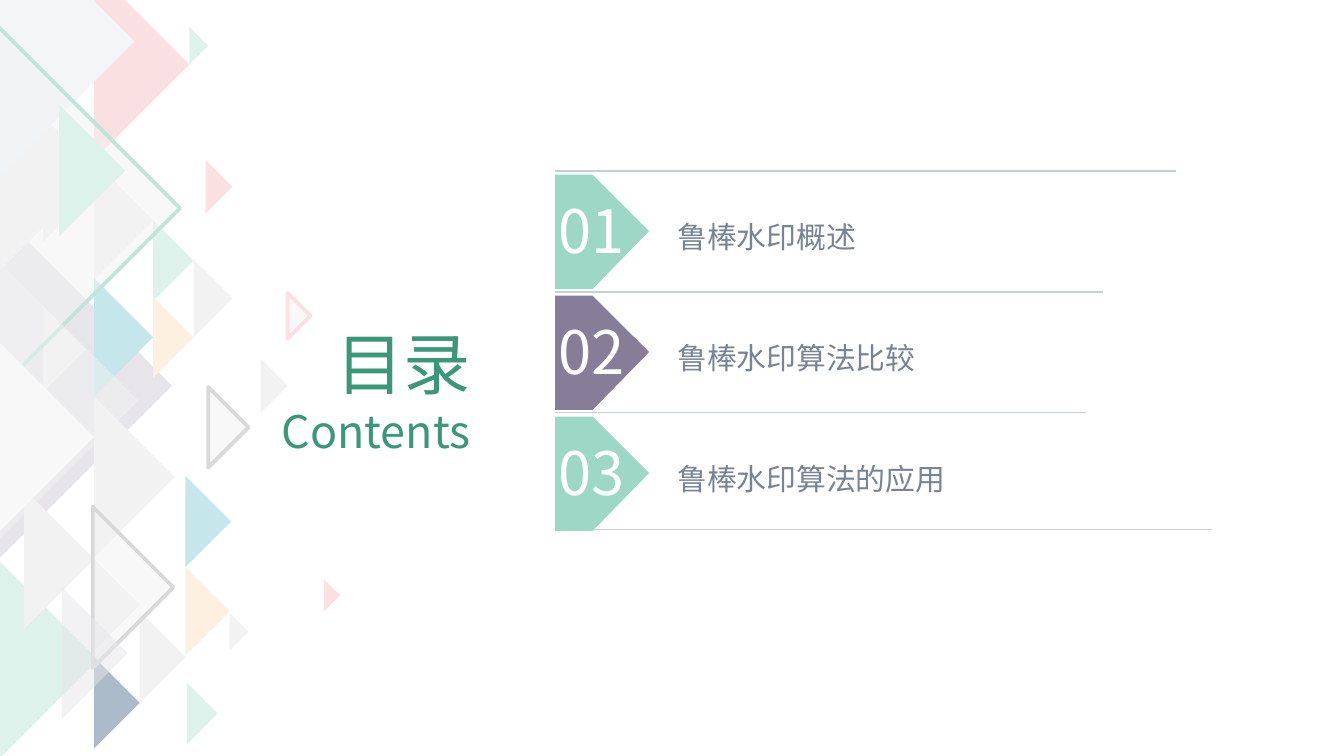
from lxml.etree import SubElement
from pptx import Presentation
from pptx.dml.color import RGBColor
from pptx.enum.shapes import MSO_CONNECTOR
from pptx.enum.text import MSO_ANCHOR, MSO_AUTO_SIZE, PP_ALIGN
from pptx.oxml.ns import qn
from pptx.util import Inches, Pt

FONT = "Noto Sans CJK SC"
WHITE = RGBColor(0xFF, 0xFF, 0xFF)
GREY = RGBColor(0xF2, 0xF2, 0xF2)
SILVER = RGBColor(0xD9, 0xD9, 0xD9)
PALE = RGBColor(0xF3, 0xF5, 0xF7)
LILAC = RGBColor(0xE7, 0xE5, 0xEA)
PINK = RGBColor(0xFB, 0xE0, 0xE1)
MINT = RGBColor(0xDE, 0xF2, 0xEC)
AQUA = RGBColor(0xBD, 0xE5, 0xD8)
CREAM = RGBColor(0xFE, 0xF0, 0xE1)
SKY = RGBColor(0xC5, 0xE7, 0xEB)
STEEL = RGBColor(0xAB, 0xBB, 0xC9)
RULE = RGBColor(0xC4, 0xCF, 0xD9)
SLATE = RGBColor(0x77, 0x84, 0x95)
GREEN = RGBColor(0x3B, 0x97, 0x79)
JADE = RGBColor(0x9C, 0xD8, 0xC5)
PLUM = RGBColor(0x86, 0x7D, 0x98)

# left edge, middle height, half height, fill, then optional opacity and outline
TRIANGLES = [
    (0, 2.87, 1.28, LILAC), (0, 1.28, 0.73, GREY),
    (0.7, 1.64, 0.44, GREY), (0.7, 0.48, 0.71, PINK),
    (1.14, 1.94, 0.3, MINT), (1.14, 2.51, 0.3, CREAM),
    (0.7, 2.51, 0.44, SKY), (0.7, 3.55, 0.6, GREY),
    (0.7, 4.5, 0.34, GREY), (0, 4.91, 0.73, MINT),
    (0.7, 5.23, 0.34, STEEL), (1.04, 4.89, 0.34, GREY),
    (1.38, 4.55, 0.33, CREAM), (1.38, 3.88, 0.34, SKY),
    (0, 3.36, 0.51, GREY), (0, 0.31, 1, PALE),
    (0.32, 1.48, 0.32, GREY), (0.32, 2.6, 0.32, GREY),
    (0.18, 4.16, 0.52, GREY), (1.53, 1.39, 0.2, PINK),
    (-0.06, 1.55, 1.4, GREY, 50, AQUA), (-0.06, 3.25, 0.76, WHITE),
    (0.69, 4.37, 0.6, GREY, 50, SILVER), (1.55, 3.18, 0.3, GREY, 50, SILVER),
    (2.14, 2.35, 0.17, GREY, 50, PINK), (1.94, 2.87, 0.2, GREY),
    (1.71, 4.7, 0.14, GREY), (1.39, 5.31, 0.23, MINT),
    (0, 2.98, 1.03, GREY, 50), (0.46, 4.86, 0.49, LILAC, 50),
    (0.44, 1.27, 0.49, MINT), (1.44, 2.22, 0.29, GREY),
    (1.41, 0.34, 0.14, MINT), (2.41, 4.43, 0.12, PINK),
]
RULES = [(1.27, 8.75), (2.17, 8.21), (3.07, 8.08), (3.94, 9.02)]
ITEMS = ["鲁棒水印概述", "鲁棒水印算法比较", "鲁棒水印算法的应用"]
STEP = 0.9
LEFT = 4.13


def add_outline(slide, points, fill, alpha=100, line=None):
    dots = [(Inches(x), Inches(y)) for x, y in points]
    pen = slide.shapes.build_freeform(*dots[0])
    pen.add_line_segments(dots[1:], close=True)
    shape = pen.convert_to_shape()
    shape.shadow.inherit = False
    shape.fill.solid()
    shape.fill.fore_color.rgb = fill
    if alpha < 100:
        color = shape._element.spPr.find(qn("a:solidFill"))[0]
        SubElement(color, qn("a:alpha"), val=str(alpha * 1000))
    if line is None:
        shape.line.fill.background()
    else:
        shape.line.color.rgb = line
        shape.line.width = Pt(2)


def add_triangle(slide, x, mid, half, *style):
    points = [(x + half, mid), (x, mid + half), (x, mid - half)]
    add_outline(slide, points, *style)


def add_rule(slide, y, end):
    line = slide.shapes.add_connector(
        MSO_CONNECTOR.STRAIGHT, Inches(LEFT), Inches(y), Inches(end), Inches(y))
    line.line.color.rgb = RULE
    line.line.width = Pt(1)
    SubElement(line._element.spPr, qn("a:effectLst"))


def place(shape, x, y, width, height):
    shape.left, shape.top = Inches(x), Inches(y)
    shape.width, shape.height = Inches(width), Inches(height)
    frame = shape.text_frame
    frame.word_wrap = True
    frame.auto_size = MSO_AUTO_SIZE.NONE
    frame.vertical_anchor = MSO_ANCHOR.TOP


def style(para, size, color, align=PP_ALIGN.LEFT):
    """Format a paragraph, with a fixed line height of 1.2 times the size."""
    para.alignment = align
    para.line_spacing = Pt(size * 1.2)
    para.space_before = Pt(0)
    for run in para.runs:
        run.font.size = Pt(size)
        run.font.color.rgb = color
        run.font.name = FONT
        SubElement(run._r.get_or_add_rPr(), qn("a:ea"), typeface=FONT)


def add_title(slide):
    title = slide.shapes.title
    place(title, 1.74, 2.35, 1.86, 1.11)
    title.text_frame.text = "目录\nContents"
    for para, size in zip(title.text_frame.paragraphs, (36, 24)):
        style(para, size, GREEN, PP_ALIGN.RIGHT)


def add_list(slide):
    body = slide.placeholders[1]
    place(body, 4.94, 1.58, 2.65, 2.16)
    body.text_frame.text = "\n".join(ITEMS)
    for para in body.text_frame.paragraphs:
        style(para, 16, SLATE)
        para.space_after = Pt(STEP * 72 - 16 * 1.2)
        props = para._p.get_or_add_pPr()
        props.set("marL", "0")
        props.set("indent", "0")
        SubElement(props, qn("a:buNone"))


def add_badge(slide, index, fill):
    top = 1.3 + index * STEP
    low = top + 0.85
    points = [(LEFT, top), (4.41, top), (4.83, top + 0.42),
              (4.41, low), (LEFT, low)]
    add_outline(slide, points, fill)
    box = slide.shapes.add_textbox(0, 0, 0, 0)
    place(box, 4.06, top + 0.09, 0.73, 0.64)
    box.text_frame.text = f"{index + 1:02}"
    style(box.text_frame.paragraphs[0], 32, WHITE)


def main():
    deck = Presentation()
    deck.slide_width = Inches(10)
    deck.slide_height = deck.slide_width * 9 // 16
    slide = deck.slides.add_slide(deck.slide_layouts[1])
    for triangle in TRIANGLES:
        add_triangle(slide, *triangle)
    for y, end in RULES:
        add_rule(slide, y, end)
    for index, fill in enumerate((JADE, PLUM, JADE)):
        add_badge(slide, index, fill)
    add_list(slide)
    add_title(slide)
    deck.save("out.pptx")


if __name__ == "__main__":
    main()
